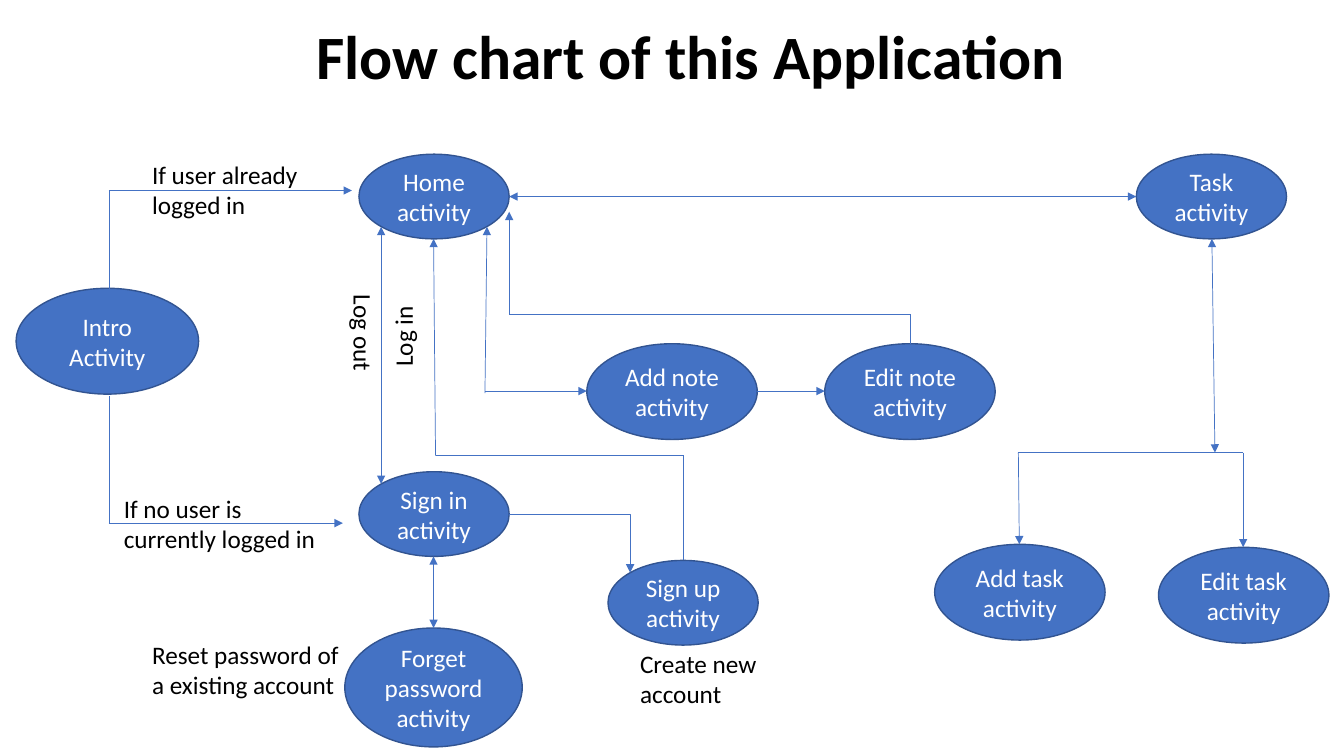
import pptx
import pptx.util
import pptx.dml.color
import pptx.enum.shapes
import pptx.enum.text
import pptx.oxml.ns
import lxml.etree

Inches = pptx.util.Inches
Pt = pptx.util.Pt
qn = pptx.oxml.ns.qn
Kind = pptx.enum.shapes.MSO_CONNECTOR
Align = pptx.enum.text.PP_ALIGN

BLUE = "4472C4"
EDGE = "325491"
WHITE = "FFFFFF"
BLACK = "000000"


def color(code):
    return pptx.dml.color.RGBColor.from_string(code)


def write(frame, lines, size, code, align, bold=False):
    frame.word_wrap = True
    for i, line in enumerate(lines):
        para = frame.paragraphs[0] if i == 0 else frame.add_paragraph()
        para.alignment = align
        run = para.add_run()
        run.text = line
        run.font.name = "Calibri"
        run.font.size = Pt(size)
        run.font.bold = bold
        run.font.color.rgb = color(code)


deck = pptx.Presentation()
deck.slide_width = Inches(13.33)
deck.slide_height = Inches(7.5)
slide = deck.slides.add_slide(deck.slide_layouts[6])

small = (1.49, 0.84)
wide = (1.69, 0.95)
nodes = [
    (0.16, 2.86, (1.81, 1.05), ["Intro Activity"]),
    (3.56, 1.53, small, ["Home activity"]),
    (3.56, 4.68, small, ["Sign in activity"]),
    (6.03, 5.56, small, ["Sign up activity"]),
    (3.42, 6.23, (1.76, 1.18), ["Forget", "password activity"]),
    (11.27, 1.53, small, ["Task activity"]),
    (5.82, 3.41, wide, ["Add note activity"]),
    (8.18, 3.41, wide, ["Edit note activity"]),
    (9.27, 5.4, wide, ["Add task activity"]),
    (11.49, 5.43, wide, ["Edit task activity"]),
]
for left, top, (width, height), lines in nodes:
    node = slide.shapes.add_shape(
        pptx.enum.shapes.MSO_SHAPE.OVAL,
        Inches(left), Inches(top), Inches(width), Inches(height))
    node.shadow.inherit = False
    node.fill.solid()
    node.fill.fore_color.rgb = color(BLUE)
    node.line.color.rgb = color(EDGE)
    node.line.width = Pt(1)
    node.text_frame.vertical_anchor = pptx.enum.text.MSO_ANCHOR.MIDDLE
    write(node.text_frame, lines, 18, WHITE, Align.CENTER)

labels = [
    (3.04, 0.13, 7.68, 0.84, 0, 44, "Flow chart of this Application"),
    (1.41, 1.53, 1.76, 0.71, 0, 18, "If user already logged in"),
    (1.13, 4.84, 2.23, 0.71, 0, 18, "If no user is currently logged in"),
    (3.02, 3.21, 1.17, 0.4, 90, 18, "Log out"),
    (3.41, 2.95, 1.17, 0.4, 270, 18, "Log in"),
    (6.25, 6.38, 1.59, 0.71, 0, 18, "Create new account"),
    (1.41, 6.29, 2.09, 0.71, 0, 18, "Reset password of a existing account"),
]
for left, top, width, height, turn, size, text in labels:
    box = slide.shapes.add_textbox(
        Inches(left), Inches(top), Inches(width), Inches(height))
    box.rotation = turn
    write(box.text_frame, [text], size, BLACK, Align.LEFT, size == 44)
    box.text_frame.auto_size = pptx.enum.text.MSO_AUTO_SIZE.SHAPE_TO_FIT_TEXT

END = ["tailEnd"]
BOTH = ["headEnd", "tailEnd"]
routes = [
    ([(1.08, 2.88), (1.08, 1.89), (3.49, 1.89)], END),
    ([(1.08, 3.93), (1.08, 5.19), (3.4, 5.19)], END),
    ([(7.51, 3.88), (8.18, 3.88)], END),
    ([(9.03, 3.41), (9.03, 3.12), (5.05, 3.12), (5.05, 2.1)], END),
    ([(10.1, 4.49), (12.33, 4.49), (12.33, 5.43)], END),
    ([(10.1, 4.49), (10.11, 5.4)], END),
    ([(4.3, 6.23), (4.3, 5.52)], BOTH),
    ([(3.78, 4.8), (3.78, 2.25)], BOTH),
    ([(6.78, 5.56), (6.78, 4.52), (4.32, 4.52), (4.3, 2.37)], END),
    ([(4.81, 3.9), (4.83, 2.25)], END),
    ([(4.81, 3.88), (5.82, 3.88)], END),
    ([(5.05, 1.95), (11.27, 1.95)], BOTH),
    ([(12.02, 2.37), (12.05, 4.49)], BOTH),
]
links = [(Kind.ELBOW, (5.05, 5.1), (6.25, 5.68), END)]
for points, heads in routes:
    last = len(points) - 2
    for i, (start, stop) in enumerate(zip(points, points[1:])):
        links.append((Kind.STRAIGHT, start, stop, heads if i == last else []))

for kind, start, stop, heads in links:
    link = slide.shapes.add_connector(
        kind, *[Inches(value) for value in start + stop])
    link.line.color.rgb = color(BLUE)
    link.line.width = Pt(0.5)
    props = link._element.spPr
    if kind == Kind.ELBOW:
        props.find(qn("a:prstGeom")).set("prst", "bentConnector2")
    for head in heads:
        lxml.etree.SubElement(
            props.find(qn("a:ln")), qn("a:" + head), type="triangle")
    lxml.etree.SubElement(props, qn("a:effectLst"))

deck.save("out.pptx")
